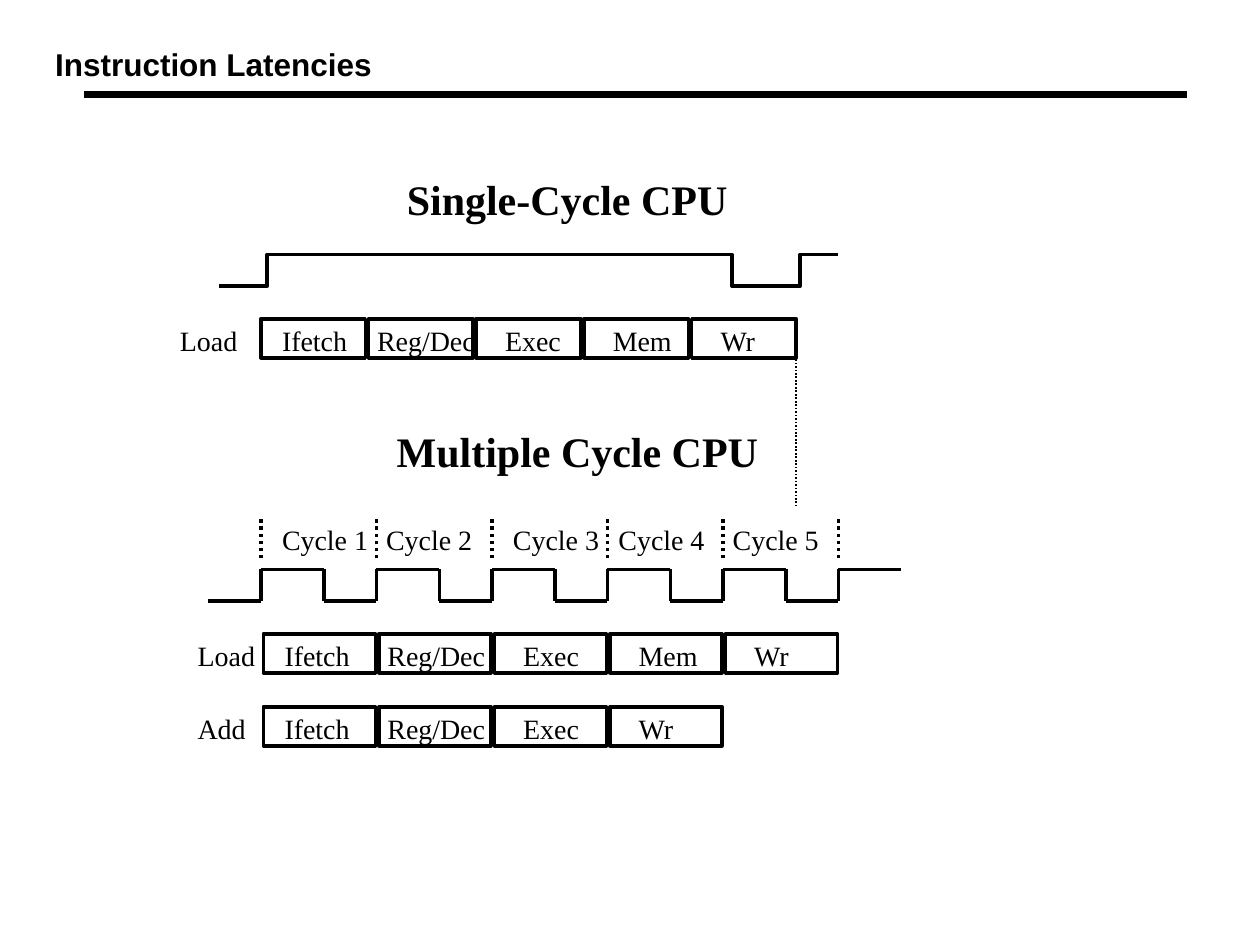
from dataclasses import dataclass
from lxml import etree
from pptx import Presentation
from pptx.dml.color import RGBColor
from pptx.enum.dml import MSO_LINE_DASH_STYLE as DASH
from pptx.enum.shapes import MSO_CONNECTOR, MSO_SHAPE
from pptx.enum.text import MSO_AUTO_SIZE, PP_ALIGN
from pptx.oxml.ns import qn
from pptx.util import Inches, Pt


@dataclass(frozen=True)
class Theme:
    ink: RGBColor = RGBColor(0, 0, 0)
    body_font: str = "Times New Roman"
    title_font: str = "Arial"
    label: int = 16
    title: int = 18
    heading: int = 24
    line: float = 2


theme = Theme()


def add_text(shapes, text, x, y, w, h=0.36, size=theme.label, font=theme.body_font,
             bold=False, margins=(0.1, 0.05), align=PP_ALIGN.LEFT):
    tf = shapes.add_textbox(Inches(x), Inches(y), Inches(w), Inches(h)).text_frame
    tf.word_wrap = False
    tf.auto_size = MSO_AUTO_SIZE.SHAPE_TO_FIT_TEXT
    tf.margin_left = tf.margin_right = Inches(margins[0])
    tf.margin_top = tf.margin_bottom = Inches(margins[1])
    p = tf.paragraphs[0]
    p.alignment = align
    r = p.add_run()
    r.text = text
    r.font.size = Pt(size)
    r.font.name = font
    r.font.bold = bold
    r.font.color.rgb = theme.ink


def add_line(shapes, x1, y1, x2, y2, width=theme.line, dash=None):
    line = shapes.add_connector(MSO_CONNECTOR.STRAIGHT, Inches(x1), Inches(y1),
                                Inches(x2), Inches(y2))
    line.line.color.rgb = theme.ink
    line.line.width = Pt(width)
    if dash:
        line.line.dash_style = dash
    etree.SubElement(line._element.spPr, qn("a:effectLst"))


prs = Presentation()
prs.slide_width, prs.slide_height = Inches(10), Inches(7.5)
s = prs.slides.add_slide(prs.slide_layouts[6])

add_line(s.shapes, 0.67, 0.75, 9.42, 0.75, 4.5)
add_text(s.shapes, "Instruction Latencies", 0.35, 0.33, 2.69, size=theme.title,
         font=theme.title_font, bold=True, margins=(0.07, 0.03), align=PP_ALIGN.CENTER)
for heading, x, y, w in [("Single-Cycle CPU", 3.13, 1.33, 2.78),
                         ("Multiple Cycle CPU", 3.05, 3.33, 3.11)]:
    add_text(s.shapes, heading, x, y, w, 0.5, theme.heading, bold=True)

high, low = 2.02, 2.27
builder = s.shapes.build_freeform(Inches(1.74), Inches(low))
builder.add_line_segments([(Inches(x), Inches(y)) for x, y in [
    (2.12, low), (2.12, high), (5.81, high), (5.81, low),
    (6.35, low), (6.35, high), (6.65, high)]], close=False)
single_clock = builder.convert_to_shape()
single_clock.shadow.inherit = False
single_clock.fill.background()
single_clock.line.color.rgb = theme.ink
single_clock.line.width = Pt(2.25)
add_line(s.shapes, 6.32, 2.85, 6.32, 4.02, 1, DASH.ROUND_DOT)

start, cycle, pulse = 2.07, 0.9167, 0.5
high, low = 4.52, 4.77
clock = s.shapes.add_group_shape().shapes
add_line(clock, 1.65, low, start, low)
for i in range(6):
    rise = start + i * cycle
    fall = rise + pulse
    add_line(clock, rise, low, rise, high)
    add_line(clock, rise, high, fall, high)
    if i < 5:
        add_line(clock, fall, high, fall, low)
        add_line(clock, fall, low, rise + cycle, low)
    add_line(s.shapes, rise, 4.43, rise, 4.1, dash=DASH.ROUND_DOT)
for i, indent in enumerate([0.07, -0.02, 0.07, -0.01, -0.02]):
    add_text(s.shapes, f"Cycle {i + 1}", start + i * cycle + indent, 4.1, 0.9)

stage_text = {"Ifetch": (0.07, 0.75), "Reg/Dec": (-0.03, 1.01), "Exec": (0.13, 0.68),
              "Mem": (0.13, 0.71), "Wr": (0.13, 0.52)}
load = list(stage_text)
add = [stage for stage in load if stage != "Mem"]
for name, name_x, name_w, x, y, step, w, stages in [
        ("Load", 1.33, 0.69, 2.07, 2.53, 0.855, 0.83, load),
        ("Load", 1.47, 0.69, 2.09, 5.03, cycle, 0.89, load),
        ("Add", 1.47, 0.62, 2.09, 5.61, cycle, 0.89, add)]:
    add_text(s.shapes, name, name_x, y - 0.01, name_w)
    row = s.shapes.add_group_shape().shapes
    for i, stage in enumerate(stages):
        left = x + i * step
        sp = row.add_shape(MSO_SHAPE.RECTANGLE, Inches(left), Inches(y),
                           Inches(w), Inches(0.31))
        sp.shadow.inherit = False
        sp.fill.background()
        sp.line.color.rgb = theme.ink
        sp.line.width = Pt(theme.line)
        indent, text_w = stage_text[stage]
        add_text(row, stage, left + indent, y - 0.01, text_w)

prs.save("out.pptx")
